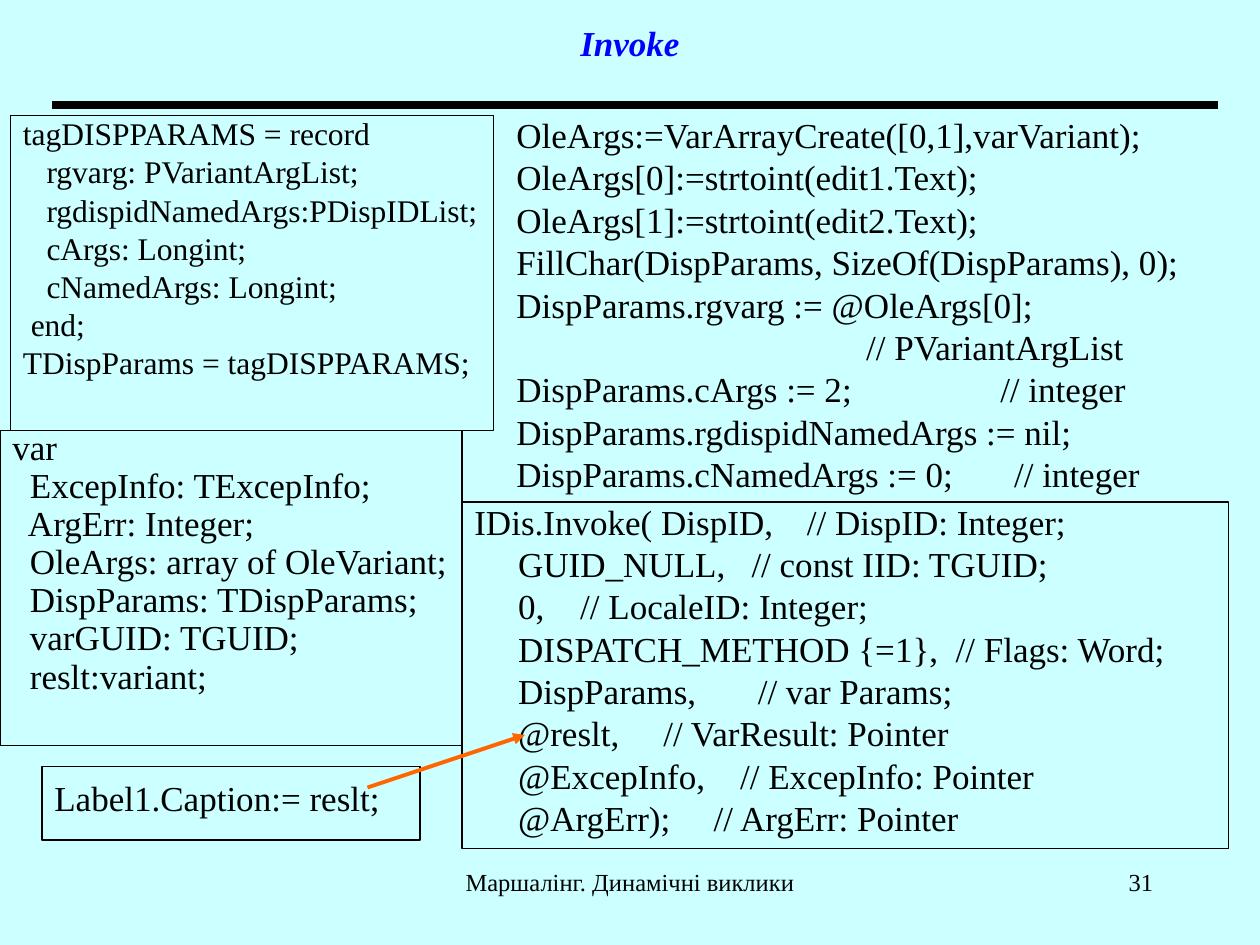
from pptx import Presentation
from pptx.dml.color import RGBColor as RGB
from pptx.enum.shapes import MSO_CONNECTOR as CONN, MSO_SHAPE as SHAPE
from pptx.enum.text import MSO_ANCHOR as ANCHOR, PP_ALIGN as ALIGN
from pptx.oxml.ns import qn
from pptx.util import Inches, Pt
from lxml.etree import SubElement

COLORS = {"ground": "CCFFFF", "ink": "000000", "title": "0000FF", "arrow": "FF6600"}
FONT = "Times New Roman"
COLS, ROWS = 120, 90  # grid of the slide
CELL = Inches(10) / COLS

# A line may be a pair: code with a tab before its comment, and the tab stop in inches
RECORD = [
    "tagDISPPARAMS = record",
    "   rgvarg: PVariantArgList;",
    "   rgdispidNamedArgs:PDispIDList;",
    "   cArgs: Longint;",
    "   cNamedArgs: Longint;",
    " end;",
    "TDispParams = tagDISPPARAMS;",
]
VARIABLES = [
    "var",
    "  ExcepInfo: TExcepInfo;",
    "  ArgErr: Integer;",
    "  OleArgs: array of OleVariant;",
    "  DispParams: TDispParams;",
    "  varGUID: TGUID;",
    "  reslt:variant;",
]
SETUP = [
    "OleArgs:=VarArrayCreate([0,1],varVariant);",
    "OleArgs[0]:=strtoint(edit1.Text);",
    "OleArgs[1]:=strtoint(edit2.Text);",
    "FillChar(DispParams, SizeOf(DispParams), 0);",
    "DispParams.rgvarg := @OleArgs[0];",
    "                                        // PVariantArgList",
    ("DispParams.cArgs := 2;\t// integer", 3.84),
    "DispParams.rgdispidNamedArgs := nil;",
    ("DispParams.cNamedArgs := 0;\t// integer", 3.95),
]
CALL = [
    ("IDis.Invoke( DispID,\t// DispID: Integer;", 2.64),
    ("     GUID_NULL,\t// const IID: TGUID;", 2.2),
    ("     0,\t// LocaleID: Integer;", 0.84),
    ("     DISPATCH_METHOD {=1},\t// Flags: Word;", 3.82),
    ("     DispParams,\t// var Params;", 2.25),
    ("     @reslt,\t// VarResult: Pointer", 1.5),
    ("     @ExcepInfo,\t// ExcepInfo: Pointer", 2.11),
    ("     @ArgErr);\t// ArgErr: Pointer", 1.9),
]


def grid(*cells):
    return [round(c * CELL) for c in cells]


def color(name):
    return RGB.from_string(COLORS[name])


def style(p, size, name="ink", bold=False):
    for r in p.runs:
        r.font.name, r.font.size = FONT, Pt(size)
        r.font.color.rgb = color(name)
        r.font.bold = r.font.italic = bold


def label(s, box, text, size, align, name="ink", bold=False, anchor=ANCHOR.TOP):
    """One line of text in a plain text box."""
    tf = s.shapes.add_textbox(*grid(*box)).text_frame
    tf.word_wrap, tf.vertical_anchor = True, anchor
    tf.text = text
    p = tf.paragraphs[0]
    p.alignment = align
    style(p, size, name, bold)


def code_block(s, box, lines, size=20, spacing=0.8, framed=True):
    """Lines of code, framed or plain, with comments set at tab stops."""
    if framed:
        sp = s.shapes.add_shape(SHAPE.RECTANGLE, *grid(*box))
        sp.shadow.inherit = False
        sp.fill.solid()
        sp.fill.fore_color.rgb = color("ground")
        sp.line.color.rgb = color("ink")
        sp.line.width = Pt(0.75)
    else:
        sp = s.shapes.add_textbox(*grid(*box))
    tf = sp.text_frame
    tf.word_wrap, tf.vertical_anchor = True, ANCHOR.TOP
    for i, line in enumerate(lines):
        text, stop = line if isinstance(line, tuple) else (line, None)
        p = tf.add_paragraph() if i else tf.paragraphs[0]
        p.text = text
        p.alignment = ALIGN.LEFT
        p.line_spacing = spacing
        p.space_before = Pt(size / 4 if i else 0)
        if stop:
            tabs = SubElement(p._p.get_or_add_pPr(), qn("a:tabLst"))
            SubElement(tabs, qn("a:tab"), pos=str(Inches(stop)), algn="l")
        style(p, size)


def rule(s, ends, name, width, arrow=False):
    """A straight line, with an arrowhead at its end if asked."""
    cx = s.shapes.add_connector(CONN.STRAIGHT, *grid(*ends))
    cx.line.color.rgb = color(name)
    cx.line.width = Pt(width)
    if arrow:
        SubElement(cx.line._get_or_add_ln(), qn("a:tailEnd"), type="triangle")
    SubElement(cx._element.spPr, qn("a:effectLst"))


def header(s, left, top, width, height):
    label(s, (left + 4, top, width - 9, height - 2), "Invoke", 20, ALIGN.CENTER,
          "title", True, ANCHOR.MIDDLE)
    rule(s, (left, top + height, left + width, top + height), "ink", 4.5)


def right_column(s, left, top, width, height):
    split = 36.8
    code_block(s, (left + 4, top, width - 4, split), SETUP, framed=False)
    code_block(s, (left, top + split, width, height - split), CALL)


def left_column(s, left, top, width, height):
    part = 30
    code_block(s, (left, top + part, width, part), VARIABLES, spacing=0.7)
    code_block(s, (left + 4, top + height - 7, 36, 7),
               ["Label1.Caption:= reslt;"], spacing=1.1)
    code_block(s, (left + 1, top, width + 2, part), RECORD, size=18)


def footer(s, left, top, width, height):
    label(s, (left, top, 38, height), "Маршалінг. Динамічні виклики", 14, ALIGN.CENTER)
    label(s, (left + width - 25, top, 25, height), "31", 14, ALIGN.RIGHT)


def main():
    prs = Presentation()
    prs.slide_width, prs.slide_height = grid(COLS, ROWS)
    s = prs.slides.add_slide(prs.slide_layouts[6])
    s.background.fill.solid()
    s.background.fill.fore_color.rgb = color("ground")

    header(s, 5, 0, 111, 10)
    right_column(s, 44, 11, 73, 69.8)
    left_column(s, 0, 11, 44, 69)
    # Arrow from the label's result to the call's argument
    rule(s, (35, 75, 50, 70), "arrow", 2.25, arrow=True)
    footer(s, 41, 82, 70, 6)
    prs.save("out.pptx")


if __name__ == "__main__":
    main()
